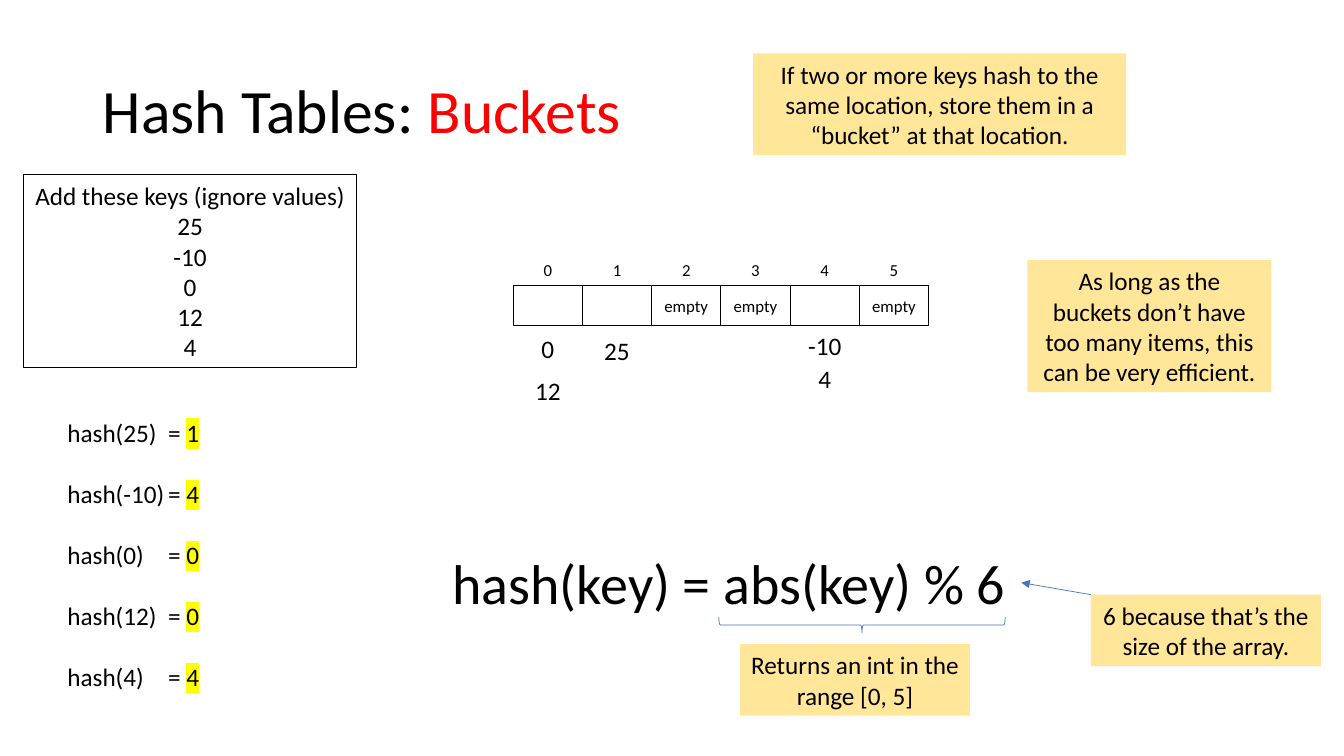
from dataclasses import dataclass

from lxml import etree
from pptx import Presentation
from pptx.dml.color import RGBColor
from pptx.enum import shapes, text
from pptx.oxml import ns
from pptx.util import Inches, Pt


@dataclass(frozen=True)
class Theme:
    font: str = "Calibri"
    ink: str = "000000"
    accent: str = "FF0000"
    note: str = "FFE699"
    marker: str = "FFFF00"
    line: str = "4472C4"
    title: int = 44
    formula: int = 40
    body: int = 18
    small: int = 12


THEME = Theme()


def rgb(color):
    return RGBColor.from_string(color)


def style(r, size, color=THEME.ink):
    r.font.name = THEME.font
    r.font.size = Pt(size)
    r.font.color.rgb = rgb(color)


def highlight(r):
    mark = etree.Element(ns.qn("a:highlight"))
    etree.SubElement(mark, ns.qn("a:srgbClr"), val=THEME.marker)
    r.font._element.find(ns.qn("a:latin")).addprevious(mark)


def fill_text(sp, lines, size, align=text.PP_ALIGN.CENTER, wrap=True):
    tf = sp.text_frame
    tf.text = "\n".join(lines)
    tf.word_wrap = wrap
    for p in tf.paragraphs:
        p.alignment = align
        for r in p.runs:
            style(r, size)


def add_label(s, x, y, w, h, label, size=THEME.body, align=text.PP_ALIGN.CENTER):
    sp = s.shapes.add_textbox(Inches(x), Inches(y), Inches(w), Inches(h))
    fill_text(sp, [label], size, align, wrap=False)


def add_shape(s, kind, x, y, w, h, fill=None, line=None, weight=0.75):
    sp = s.shapes.add_shape(kind, Inches(x), Inches(y), Inches(w), Inches(h))
    sp.shadow.inherit = False
    if fill:
        sp.fill.solid()
        sp.fill.fore_color.rgb = rgb(fill)
    else:
        sp.fill.background()
    if line:
        sp.line.color.rgb = rgb(line)
        sp.line.width = Pt(weight)
    else:
        sp.line.fill.background()
    return sp


def add_rect(s, x, y, w, h, lines, size=THEME.body, wrap=True, **look):
    sp = add_shape(s, shapes.MSO_SHAPE.RECTANGLE, x, y, w, h, **look)
    fill_text(sp, lines, size, wrap=wrap)


def add_note(s, x, y, w, h, note):
    add_rect(s, x, y, w, h, [note], fill=THEME.note)


def add_arrow(s, x1, y1, x2, y2):
    arrow = s.shapes.add_connector(
        shapes.MSO_CONNECTOR.STRAIGHT, Inches(x1), Inches(y1), Inches(x2), Inches(y2))
    arrow.line.color.rgb = rgb(THEME.line)
    arrow.line.width = Pt(0.5)
    etree.SubElement(arrow.line._get_or_add_ln(), ns.qn("a:tailEnd"), type="triangle")
    etree.SubElement(arrow._element.spPr, ns.qn("a:effectLst"))


def build_title(s, x, y, w, h):
    title = s.shapes.title
    title.left, title.top, title.width, title.height = map(Inches, (x, y, w, h))
    tf = title.text_frame
    tf.auto_size = text.MSO_AUTO_SIZE.NONE
    tf.vertical_anchor = text.MSO_ANCHOR.MIDDLE
    p = tf.paragraphs[0]
    p.alignment = text.PP_ALIGN.LEFT
    p.line_spacing = 0.9
    for words, color in (("Hash Tables: ", THEME.ink), ("Buckets", THEME.accent)):
        r = p.add_run()
        r.text = words
        style(r, THEME.title, color)


def build_hashes(s, x, y, w, h):
    """Hash of every key, with the equals signs on one tab stop."""
    tf = s.shapes.add_textbox(Inches(x), Inches(y), Inches(w), Inches(h)).text_frame
    tf.word_wrap = False
    for i, (key, slot) in enumerate(((25, 1), (-10, 4), (0, 0), (12, 0), (4, 4))):
        p = tf.paragraphs[0] if i == 0 else tf.add_paragraph()
        p.space_before = Pt(22 if i else 0)
        tabs = etree.SubElement(p._p.get_or_add_pPr(), ns.qn("a:tabLst"))
        etree.SubElement(tabs, ns.qn("a:tab"), pos=str(Inches(1)), algn="l")
        for words in (f"hash({key})\t= ", str(slot)):
            r = p.add_run()
            r.text = words
            style(r, THEME.body)
        highlight(r)


def build_array(s, x, y, w):
    """Indexed cells, with each bucket's keys below its cell."""
    buckets = {0: (("0", 0.73), ("12", 1.14)),
               1: (("25", 0.75),),
               4: (("-10", 0.7), ("4", 1.03))}
    slots = 6
    cell_w = w / slots
    for i in range(slots):
        left = x + i * cell_w
        keys = buckets.get(i, ())
        add_label(s, left, y, cell_w, 0.3, str(i), THEME.small)
        add_rect(s, left, y + 0.3, cell_w, 0.4, [] if keys else ["empty"],
                 THEME.small, wrap=False, line=THEME.ink)
        for key, drop in keys:
            add_label(s, left, y + drop, cell_w, 0.4, key)


def build_formula(s, x, y, w, h):
    """Hash formula with its two explanations."""
    add_label(s, x, y, w, h, "hash(key) = abs(key) % 6", THEME.formula,
              text.PP_ALIGN.LEFT)
    brace = add_shape(s, shapes.MSO_SHAPE.LEFT_BRACE, x + 4.08, y - 0.61, 0.16, 2.84,
                      line=THEME.line, weight=0.5)
    brace.rotation = 270
    add_note(s, x + 2.95, y + 1, 2.28, 0.71, "Returns an int in the range [0, 5]")
    add_arrow(s, x + 6.43, y + 0.51, x + w, y + 0.39)
    add_note(s, x + 6.43, y + 0.51, 2.28, 0.71,
             "6 because that’s the size of the array.")


def main():
    prs = Presentation()
    prs.slide_width, prs.slide_height = Inches(13.33), Inches(7.5)
    s = prs.slides.add_slide(prs.slide_layouts.get_by_name("Title Only"))

    build_title(s, 0.92, 0.4, 5.75, 1.45)

    # Keys and their hashes
    add_rect(s, 0.23, 1.73, 3.31, 1.92,
             ["Add these keys (ignore values)", "25", "-10", "0", "12", "4"],
             wrap=False, line=THEME.ink)
    build_hashes(s, 0.57, 4.09, 1.54, 2.83)

    # Array and formula
    build_array(s, 5.09, 2.53, 4.12)
    build_formula(s, 4.39, 5.39, 5.74, 0.77)

    # Remarks
    add_note(s, 7.47, 0.53, 3.7, 1.01,
             "If two or more keys hash to the same location, "
             "store them in a “bucket” at that location.")
    add_note(s, 10.19, 2.58, 2.42, 1.31,
             "As long as the buckets don’t have too many items, "
             "this can be very efficient.")
    prs.save("out.pptx")


if __name__ == "__main__":
    main()
